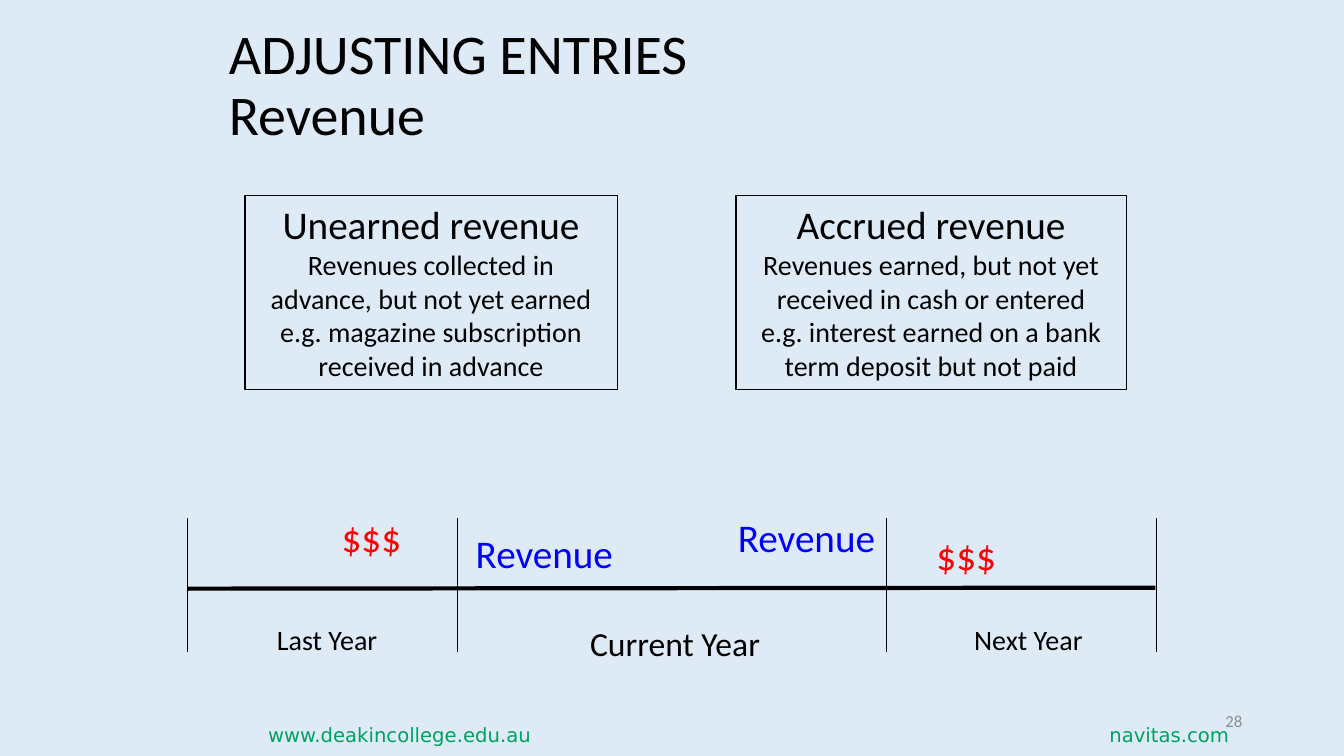
from dataclasses import dataclass

from lxml import etree
from pptx import Presentation
from pptx.dml.color import RGBColor
from pptx.enum.shapes import MSO_CONNECTOR, MSO_SHAPE
from pptx.enum.text import MSO_ANCHOR, MSO_AUTO_SIZE, PP_ALIGN
from pptx.oxml.ns import qn
from pptx.util import Inches, Pt

LEFT, CENTER, RIGHT = PP_ALIGN.LEFT, PP_ALIGN.CENTER, PP_ALIGN.RIGHT
TOP, MIDDLE = MSO_ANCHOR.TOP, MSO_ANCHOR.MIDDLE
NO_FIT, GROW = MSO_AUTO_SIZE.NONE, MSO_AUTO_SIZE.SHAPE_TO_FIT_TEXT
STRAIGHT, RECTANGLE = MSO_CONNECTOR.STRAIGHT, MSO_SHAPE.RECTANGLE
TITLE_ONLY = 5


@dataclass(frozen=True)
class Theme:
    font: str = "Calibri"
    footer_font: str = "DejaVu Sans"
    background: RGBColor = RGBColor(0xDE, 0xEB, 0xF7)
    ink: RGBColor = RGBColor(0, 0, 0)
    cash: RGBColor = RGBColor(0xFF, 0, 0)
    revenue: RGBColor = RGBColor(0, 0, 0xFF)
    footer: RGBColor = RGBColor(0, 0xA1, 0x60)
    number: RGBColor = RGBColor(0x8C, 0x8C, 0x8C)
    title_size: int = 40
    heading_size: int = 28
    period_size: int = 24
    body_size: int = 20
    footer_size: int = 14
    number_size: int = 12


THEME = Theme()


def add_span(para, text, size, color=THEME.ink, font=THEME.font):
    span = para.add_run()
    span.text = text
    span.font.name = font
    span.font.size = Pt(size)
    span.font.color.rgb = color


def add_title(page, lines):
    title = page.shapes.title
    title.left, title.top = Inches(2.17), Inches(0.05)
    title.width, title.height = Inches(7.96), Inches(1.62)
    frame = title.text_frame
    frame.auto_size = NO_FIT
    frame.vertical_anchor = MIDDLE
    para = frame.paragraphs[0]
    para.alignment = LEFT
    para.line_spacing = 0.9
    for index, line in enumerate(lines):
        if index:
            para.add_line_break()
        add_span(para, line, THEME.title_size)


def add_label(page, text, bounds, size, color=THEME.ink, font=THEME.font,
              align=LEFT, anchor=TOP, wrap=True):
    box = page.shapes.add_textbox(*map(Inches, bounds))
    frame = box.text_frame
    frame.word_wrap = wrap
    frame.auto_size = GROW if anchor == TOP else NO_FIT
    frame.vertical_anchor = anchor
    para = frame.paragraphs[0]
    para.alignment = align
    add_span(para, text, size, color, font)


def add_definition(page, left, width, heading, meaning, example):
    """Add an outlined box with a heading, a meaning and an example."""
    box = page.shapes.add_shape(RECTANGLE, Inches(left), Inches(1.94),
                                Inches(width), Inches(1.92))
    box.shadow.inherit = False
    box.fill.background()
    box.line.color.rgb = THEME.ink
    box.line.width = Pt(0.75)
    frame = box.text_frame
    frame.word_wrap = True
    frame.auto_size = GROW
    frame.vertical_anchor = TOP
    for index, text in enumerate((heading, meaning, example)):
        para = frame.add_paragraph() if index else frame.paragraphs[0]
        para.alignment = CENTER
        add_span(para, text, THEME.body_size if index else THEME.heading_size)


def add_line(page, start, end, width):
    line = page.shapes.add_connector(STRAIGHT, *map(Inches, start + end))
    line.line.color.rgb = THEME.ink
    line.line.width = Pt(width)
    etree.SubElement(line._element.spPr, qn("a:effectLst"))


def add_timeline(page):
    add_line(page, (1.86, 5.84), (11.46, 5.83), 3)
    for year_end in (1.86, 4.54, 8.79, 11.47):
        add_line(page, (year_end, 5.14), (year_end, 6.47), 0.75)
    for text, left, width, height, size in (
        ("Last Year", 2.26, 1.97, 0.43, THEME.body_size),
        ("Current Year", 5.17, 3.05, 0.5, THEME.period_size),
        ("Next Year", 9.27, 1.86, 0.43, THEME.body_size),
    ):
        add_label(page, text, (left, 6.13, width, height), size, align=CENTER)
    for text, left, top, width, color in (
        ("$$$", 3.29, 5.04, 0.8, THEME.cash),
        ("Revenue", 4.62, 5.2, 1.58, THEME.revenue),
        ("Revenue", 7.22, 5.04, 1.58, THEME.revenue),
        ("$$$", 9.19, 5.22, 0.8, THEME.cash),
    ):
        add_label(page, text, (left, top, width, 0.57), THEME.heading_size,
                  color, wrap=False)


def add_footer(page):
    for text, left, width, align in (
        ("www.deakincollege.edu.au", 2.56, 3.01, LEFT),
        ("navitas.com", 10.82, 1.47, RIGHT),
    ):
        add_label(page, text, (left, 7.12, width, 0.34), THEME.footer_size,
                  THEME.footer, THEME.footer_font, align)
    add_label(page, "28", (9.42, 6.95, 3, 0.4), THEME.number_size,
              THEME.number, align=RIGHT, anchor=MIDDLE)


def main():
    deck = Presentation()
    deck.slide_width, deck.slide_height = Inches(13.33), Inches(7.5)
    page = deck.slides.add_slide(deck.slide_layouts[TITLE_ONLY])
    page.background.fill.solid()
    page.background.fill.fore_color.rgb = THEME.background

    add_title(page, ("ADJUSTING ENTRIES", "Revenue"))
    add_definition(page, 2.43, 3.69, "Unearned revenue",
                   "Revenues collected in advance, but not yet earned",
                   "e.g. magazine subscription received in advance")
    add_definition(page, 7.3, 3.87, "Accrued revenue",
                   "Revenues earned, but not yet received in cash or entered",
                   "e.g. interest earned on a bank term deposit but not paid")
    add_timeline(page)
    add_footer(page)
    deck.save("out.pptx")


if __name__ == "__main__":
    main()
